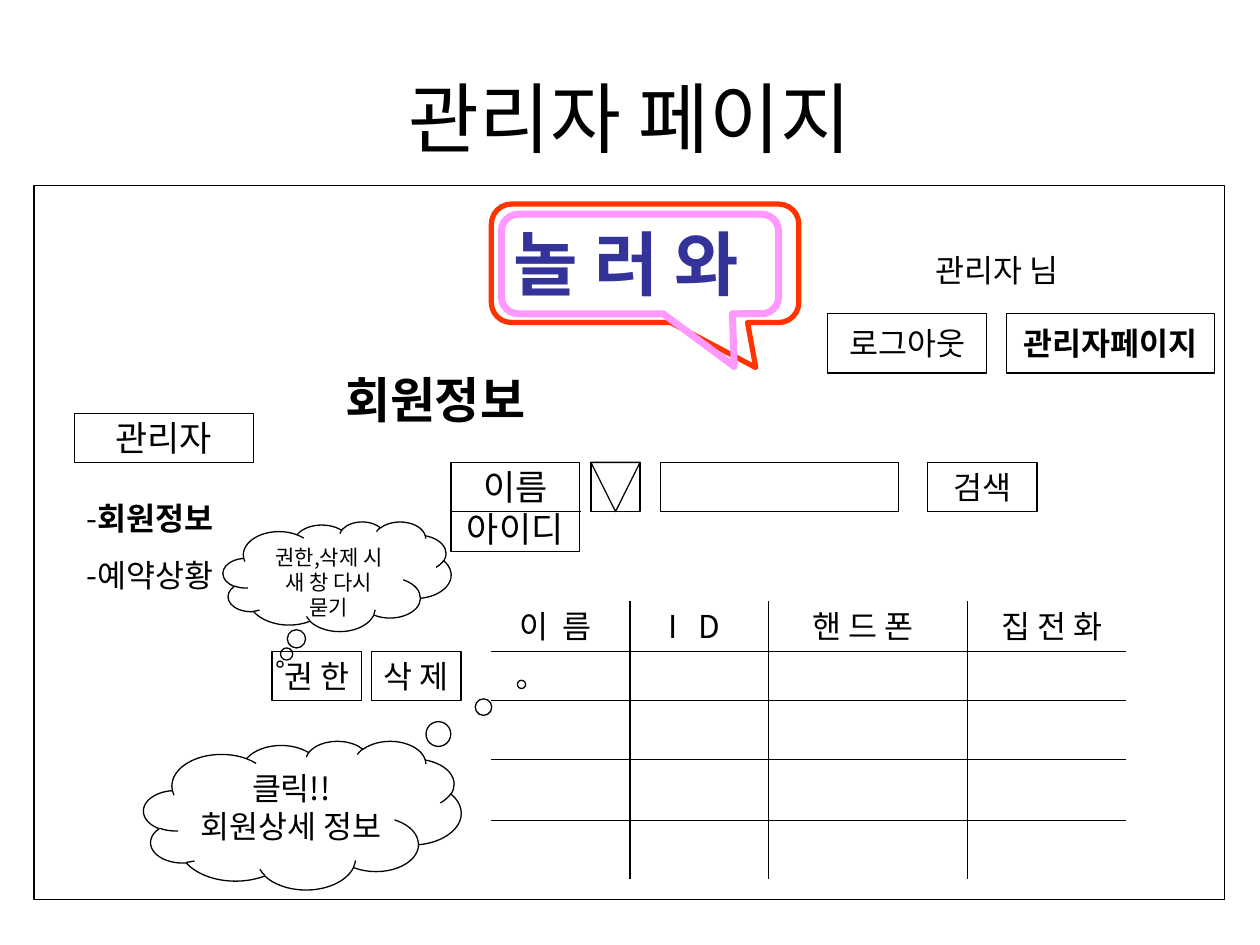
from dataclasses import dataclass

from lxml.etree import SubElement
from pptx import Presentation
from pptx.dml.color import RGBColor
from pptx.enum.shapes import MSO_CONNECTOR, MSO_SHAPE as SHAPE
from pptx.enum.text import MSO_ANCHOR as ANCHOR, MSO_AUTO_SIZE as FIT, PP_ALIGN as ALIGN
from pptx.oxml.ns import qn
from pptx.util import Emu, Pt

PX = 9144  # EMU per px, 100 px to the inch


@dataclass(frozen=True)
class Theme:
    font: str = "Noto Sans CJK KR"
    ink: str = "000000"
    site: str = "333399"
    outer: str = "FF3300"
    inner: str = "FF99FF"
    hairline: float = 0.75
    title: int = 44
    logo: int = 40
    heading: int = 28
    label: int = 20
    body: int = 18
    note: int = 12


THEME = Theme()

# Content: a paragraph is a list of (text, format) runs
TITLE = "관리자 페이지"
BOLD = {"bold": True}
CAPTIONS = [  # text, place, size, colour, format, alignment
    ("놀 러 와", (398, 170, 228, 77), THEME.logo, THEME.site, BOLD, ALIGN.LEFT),
    ("관리자 님", (713, 194, 157, 40), THEME.body, THEME.ink, {}, ALIGN.CENTER),
    ("회원정보", (264, 288, 276, 57), THEME.heading, THEME.ink, BOLD, ALIGN.LEFT),
]
MENU = [[("-", {}), ("회원정보", BOLD)], [("-예약상황", {})]]
MENU_PLACE = (59, 391, 142, 86)

BOXES = [  # lines of text, place, size, format
    ([], (27, 147, 945, 567), THEME.body, {}),
    (["관리자"], (59, 328, 142, 39), THEME.label, {}),
    (["로그아웃"], (657, 249, 126, 47), THEME.body, {}),
    (["관리자페이지"], (799, 249, 165, 47), THEME.body, BOLD),
    (["이름", "아이디"], (358, 367, 102, 71), THEME.label, {}),
    ([], (469, 367, 39, 39), THEME.body, {}),
    ([], (524, 367, 189, 39), THEME.body, {}),
    (["검색"], (736, 367, 87, 39), THEME.body, {}),
    (["권 한"], (216, 517, 71, 39), THEME.body, {}),
    (["삭 제"], (295, 517, 71, 39), THEME.body, {}),
]
DROP_ARROW = (469, 367, 39, 39)
OPTION_RULE = (358, 406, 461, 406)

BUBBLES = [  # place, adjustments, colour, line width
    ((390, 162, 244, 94), (0.36, 0.88, 0.17), THEME.outer, 3),
    ((398, 170, 220, 79), (0.34, 1.03, 0.17), THEME.inner, 4),
]
CLOUDS = [  # text, place, adjustments, size
    ("클릭!! 회원상세 정보", (114, 588, 252, 118), (0.69, -0.88), THEME.body),
    ("권한,삭제 시 새 창 다시 묻기", (177, 414, 181, 87), (-0.25, 0.8), THEME.note),
]

# Member list: header, left edge, letter spacing in points
HEADERS = [("이 름", 382, 2), ("I D", 492, 4), ("핸 드 폰", 626, 0), ("집 전 화", 776, 0)]
HEADER_TOP, HEADER_WIDTH, HEADER_HEIGHT = 477, 118, 40
LIST_LEFT, LIST_RIGHT, LIST_BOTTOM = 390, 894, 698
ROW_RULES = [517, 556, 603, 651]
COLUMN_RULES = [500, 610, 768]


def emu(place):
    return [Emu(n * PX) for n in place]


def write(shape, paragraphs, size, colour=THEME.ink, align=ALIGN.CENTER, gap=0, spacing=0, **frame):
    text = shape.text_frame
    for attr, value in frame.items():
        setattr(text, attr, value)
    for index, runs in enumerate(paragraphs):
        paragraph = text.paragraphs[0] if index == 0 else text.add_paragraph()
        paragraph.alignment = align
        if index and gap:
            paragraph.space_before = Pt(gap)
        for words, extra in runs:
            run = paragraph.add_run()
            run.text = words
            for attr, value in {"name": THEME.font, "size": Pt(size), **extra}.items():
                setattr(run.font, attr, value)
            run.font.color.rgb = RGBColor.from_string(colour)
            properties = run._r.get_or_add_rPr()
            SubElement(properties, qn("a:ea")).set("typeface", THEME.font)
            if spacing:
                properties.set("spc", str(spacing * 100))


def outline(slide, kind, place, colour=THEME.ink, width=THEME.hairline, adjust=()):
    shape = slide.shapes.add_shape(kind, *emu(place))
    shape.shadow.inherit = False
    shape.fill.background()
    shape.line.color.rgb = RGBColor.from_string(colour)
    shape.line.width = Pt(width)
    for index, value in enumerate(adjust):
        shape.adjustments[index] = value
    return shape


def rule(slide, ends):
    line = slide.shapes.add_connector(MSO_CONNECTOR.STRAIGHT, *emu(ends))
    line.line.color.rgb = RGBColor.from_string(THEME.ink)
    line.line.width = Pt(THEME.hairline)
    SubElement(line._element.spPr, qn("a:effectLst"))


def caption(slide, paragraphs, place, size, **style):
    write(slide.shapes.add_textbox(*emu(place)), paragraphs, size,
          word_wrap=True, auto_size=FIT.SHAPE_TO_FIT_TEXT, **style)


def main():
    deck = Presentation()
    deck.slide_width, deck.slide_height = emu((1000, 750))
    slide = deck.slides.add_slide(deck.slide_layouts[5])

    # Title
    title = slide.shapes.title
    title.left, title.top, title.width, title.height = emu((50, 30, 900, 125))
    write(title, [[(TITLE, {})]], THEME.title,
          vertical_anchor=ANCHOR.MIDDLE, auto_size=FIT.NONE)

    # Page frame, buttons and search fields
    for lines, place, size, extra in BOXES:
        box = outline(slide, SHAPE.RECTANGLE, place)
        if lines:
            write(box, [[(line, extra)] for line in lines], size,
                  word_wrap=False, vertical_anchor=ANCHOR.MIDDLE)
    outline(slide, SHAPE.ISOSCELES_TRIANGLE, DROP_ARROW).rotation = 180
    rule(slide, OPTION_RULE)

    # Site name, user, heading and side menu
    for words, place, size, colour, extra, align in CAPTIONS:
        caption(slide, [[(words, extra)]], place, size, colour=colour, align=align)
    caption(slide, MENU, MENU_PLACE, THEME.body, align=ALIGN.LEFT, gap=11.2)
    for place, adjust, colour, width in BUBBLES:
        outline(slide, SHAPE.ROUNDED_RECTANGULAR_CALLOUT, place, colour, width, adjust)

    # Member list
    for words, left, spacing in HEADERS:
        caption(slide, [[(words, {})]], (left, HEADER_TOP, HEADER_WIDTH, HEADER_HEIGHT),
                THEME.body, spacing=spacing)
    for y in ROW_RULES:
        rule(slide, (LIST_LEFT, y, LIST_RIGHT, y))
    for x in COLUMN_RULES:
        rule(slide, (x, HEADER_TOP, x, LIST_BOTTOM))

    # Explanatory clouds
    for words, place, adjust, size in CLOUDS:
        cloud = outline(slide, SHAPE.CLOUD_CALLOUT, place, adjust=adjust)
        write(cloud, [[(words, {})]], size, word_wrap=True, vertical_anchor=ANCHOR.TOP)

    deck.save("out.pptx")


if __name__ == "__main__":
    main()
